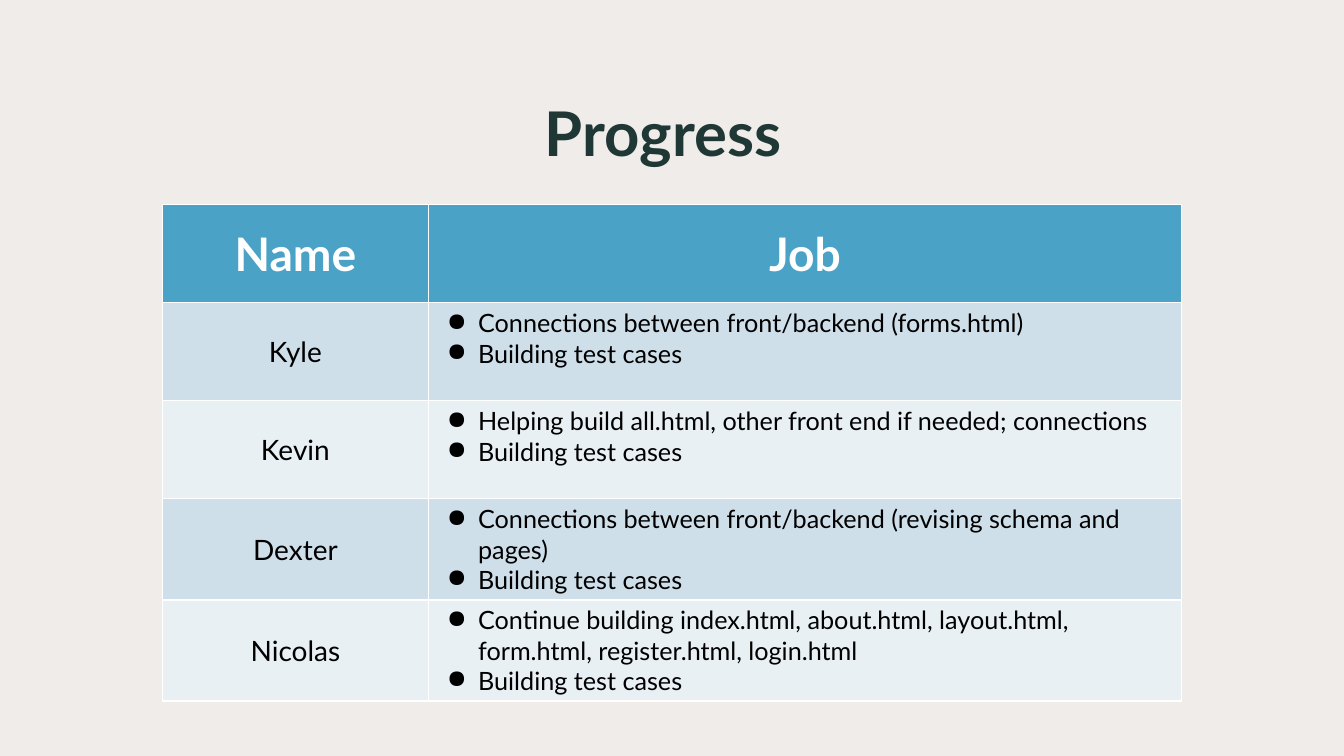
import lxml.etree
import pptx
import pptx.dml.color
import pptx.enum.shapes
import pptx.enum.text
import pptx.oxml.ns
import pptx.util

Cm = pptx.util.Cm
Pt = pptx.util.Pt
qn = pptx.oxml.ns.qn
CENTER = pptx.enum.text.PP_ALIGN.CENTER
LEFT = pptx.enum.text.PP_ALIGN.LEFT
MIDDLE = pptx.enum.text.MSO_ANCHOR.MIDDLE
TOP = pptx.enum.text.MSO_ANCHOR.TOP

PAGE_WIDTH, PAGE_HEIGHT = 33.87, 19.05
TEST_CASES = "Building test cases"
PROGRESS = [
    ("Kyle", "Connections between front/backend (forms.html)"),
    ("Kevin", "Helping build all.html, other front end if needed; connections"),
    ("Dexter", "Connections between front/backend (revising schema and pages)"),
    ("Nicolas", "Continue building index.html, about.html, layout.html, "
                "form.html, register.html, login.html"),
]


def color(value):
    return pptx.dml.color.RGBColor.from_string(value)


def add_element(parent, tag, **attributes):
    return lxml.etree.SubElement(parent, qn(tag), attributes)


class Slide:
    font = "Lato"
    title_ink, ink, white = "203835", "000000", "FFFFFF"
    header_fill = "4AA2C6"
    band_fills = ("CFDFEA", "E8F0F4")

    def __init__(self, deck):
        self.page = deck.slides.add_slide(deck.slide_layouts[6])

    def backdrop(self, fill, opacity=100):
        """Cover the page with a rectangle; opacity is in percent."""
        box = self.page.shapes.add_shape(
            pptx.enum.shapes.MSO_SHAPE.RECTANGLE, 0, 0, Cm(PAGE_WIDTH), Cm(PAGE_HEIGHT))
        box.shadow.inherit = False
        box.line.fill.background()
        box.fill.solid()
        box.fill.fore_color.rgb = color(fill)
        if opacity < 100:
            tint = box._element.spPr.find(".//" + qn("a:srgbClr"))
            add_element(tint, "a:alpha", val=str(opacity * 1000))

    def add_text(self, para, text, size, ink, bold=False, align=CENTER):
        para.alignment = align
        span = para.add_run()
        span.text = text
        span.font.name = self.font
        span.font.size = Pt(size)
        span.font.bold = bold
        span.font.color.rgb = color(ink)

    def title(self, text, left, top, width, height):
        box = self.page.shapes.add_textbox(Cm(left), Cm(top), Cm(width), Cm(height))
        frame = box.text_frame
        frame.word_wrap = True
        frame.vertical_anchor = MIDDLE
        self.add_text(frame.paragraphs[0], text, 44, self.title_ink, bold=True)

    def bullet(self, para):
        properties = para._p.get_or_add_pPr()
        properties.set("marL", str(Cm(0.79)))
        properties.set("indent", str(-Cm(0.79)))
        add_element(add_element(properties, "a:buClr"), "a:srgbClr", val=self.ink)
        add_element(properties, "a:buChar", char="●")

    def cell(self, cell, fill, anchor=MIDDLE):
        """Give a cell its fill, margins and white borders."""
        cell.vertical_anchor = anchor
        cell.margin_left = cell.margin_right = Cm(0.46)
        cell.margin_top = cell.margin_bottom = Cm(0.13)
        properties = cell._tc.get_or_add_tcPr()
        for side in ("L", "R", "T", "B"):
            border = add_element(properties, "a:ln" + side, w=str(Pt(0.96)))
            add_element(add_element(border, "a:solidFill"), "a:srgbClr", val=self.white)
        cell.fill.solid()
        cell.fill.fore_color.rgb = color(fill)

    def table(self, headings, rows, left, top, widths, row_height):
        count = len(rows) + 1
        table = self.page.shapes.add_table(
            count, len(widths), Cm(left), Cm(top),
            Cm(sum(widths)), Cm(row_height * count)).table
        for column, width in zip(table.columns, widths):
            column.width = Cm(width)
        for row in table.rows:
            row.height = Cm(row_height)
        for column, heading in enumerate(headings):
            cell = table.cell(0, column)
            self.cell(cell, self.header_fill)
            self.add_text(cell.text_frame.paragraphs[0], heading, 33, self.white, bold=True)
        for index, (name, job) in enumerate(rows):
            fill = self.band_fills[index % 2]
            name_cell, job_cell = table.cell(index + 1, 0), table.cell(index + 1, 1)
            self.cell(name_cell, fill)
            self.add_text(name_cell.text_frame.paragraphs[0], name, 20, self.ink)
            self.cell(job_cell, fill, TOP)
            frame = job_cell.text_frame
            for para, text in ((frame.paragraphs[0], job),
                               (frame.add_paragraph(), TEST_CASES)):
                self.add_text(para, text, 18, self.ink, align=LEFT)
                self.bullet(para)


def main():
    deck = pptx.Presentation()
    deck.slide_width, deck.slide_height = Cm(PAGE_WIDTH), Cm(PAGE_HEIGHT)
    slide = Slide(deck)
    slide.backdrop("FFFFFF")
    slide.backdrop("E8E4E2", opacity=69)
    slide.title("Progress", 2.34, 1.55, 28.75, 3.56)
    slide.table(("Name", "Job"), PROGRESS, 4.09, 5.16, (6.71, 18.97), 2.47)
    deck.save("out.pptx")


if __name__ == "__main__":
    main()
